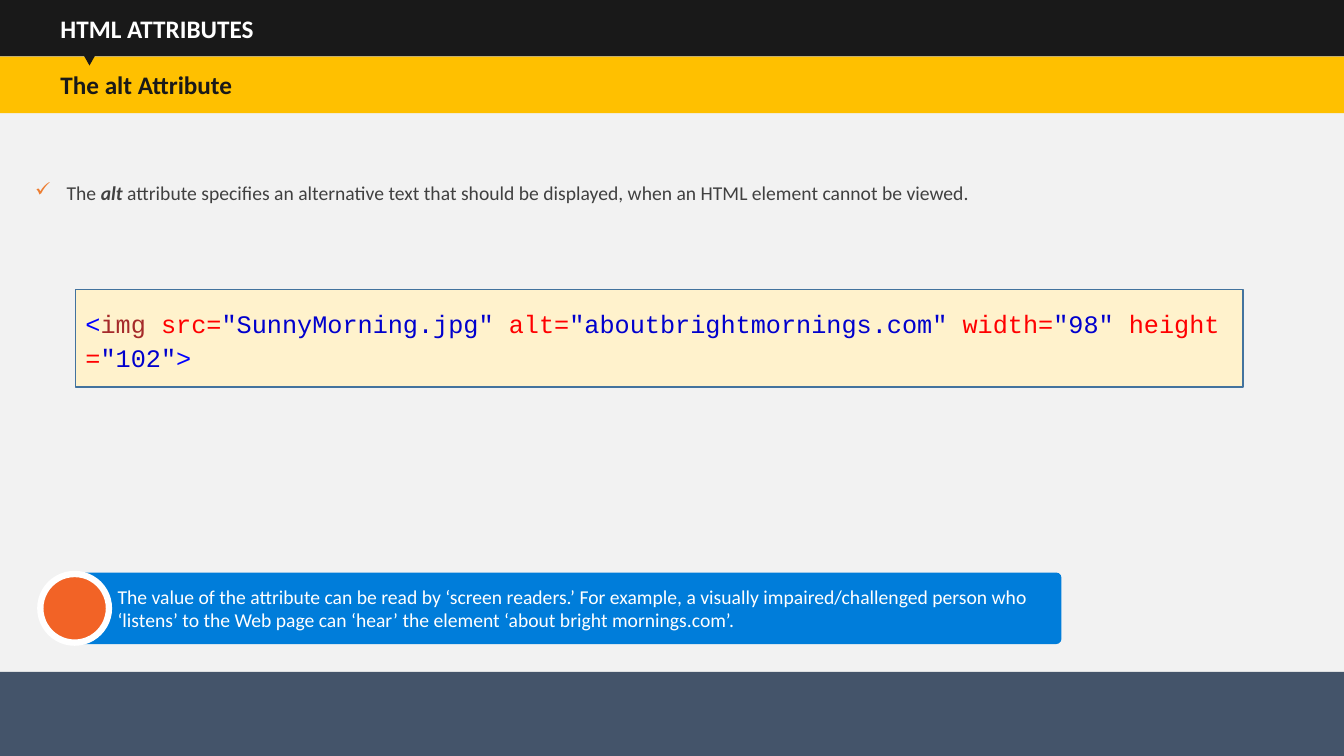
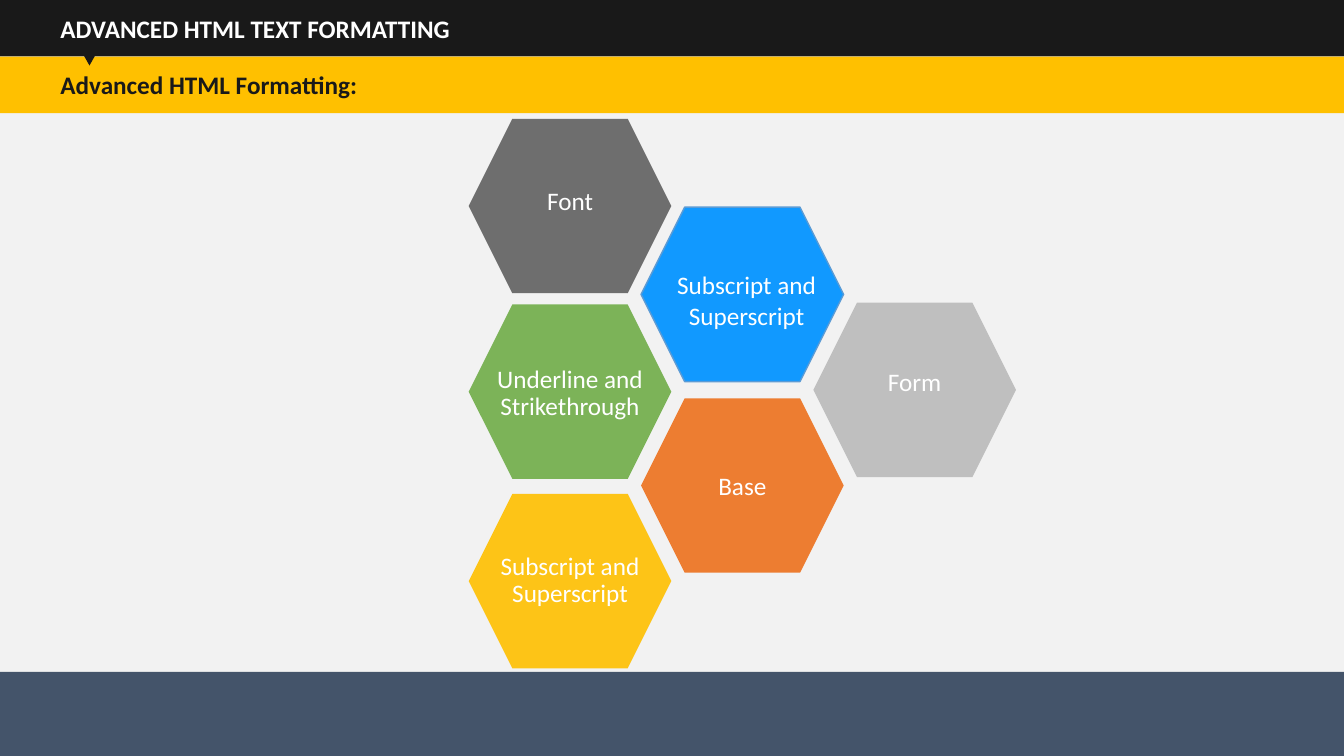
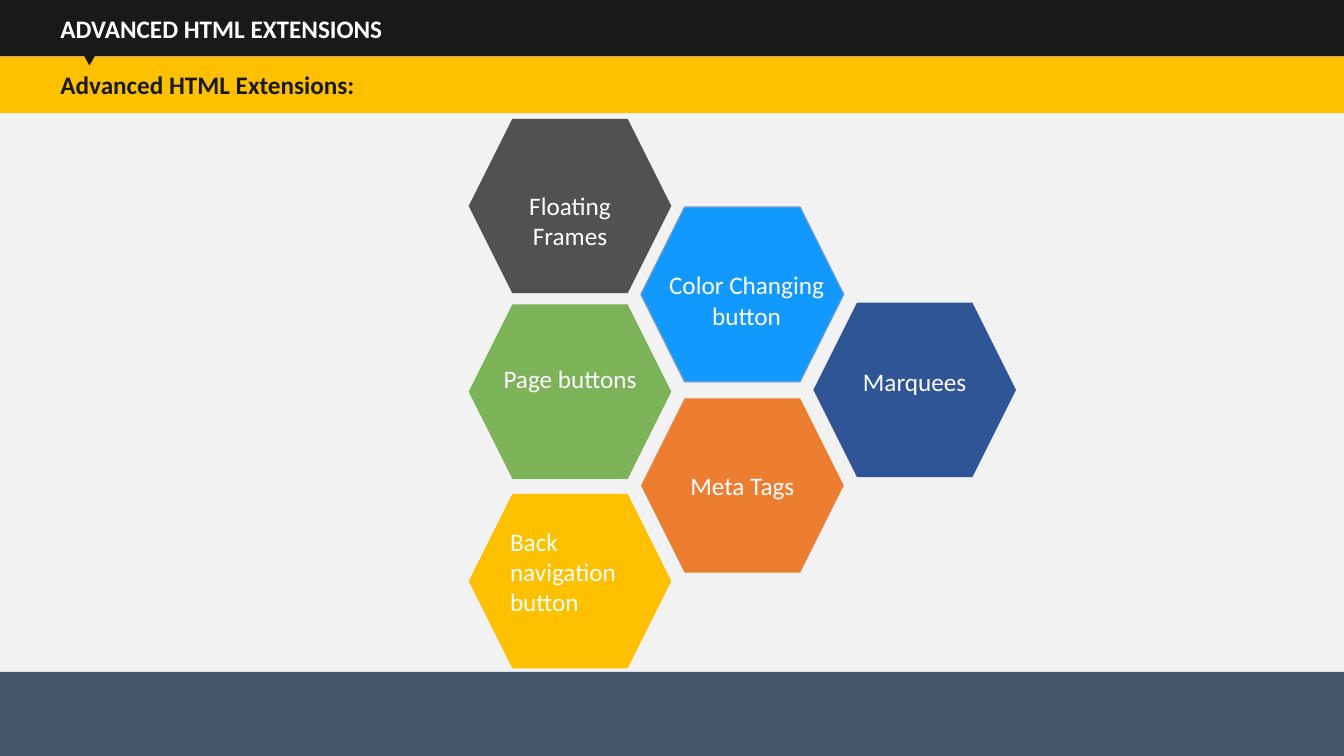
from lxml.etree import SubElement
from pptx import Presentation
from pptx.dml.color import RGBColor
from pptx.enum.shapes import MSO_SHAPE as Preset
from pptx.enum.text import MSO_ANCHOR as Anchor, PP_ALIGN as Align
from pptx.oxml.ns import qn
from pptx.util import Pt

WIDTH, HEIGHT = 960, 540
BAND_HEIGHT = 40.3
FOOTER_TOP = 480
BODY_FONT, CODE_FONT = "Calibri", "Courier New"
NO_BREAK_SPACE = chr(160)

COLORS = {
    "canvas": "F2F2F2", "footer": "44546A", "ink": "191919", "gold": "FFC000",
    "white": "FFFFFF", "body": "404040", "tick": "ED7D31", "cream": "FFF2CC",
    "code line": "43739E", "note": "007DDA", "dot": "F26326",
    "bracket": "0000FF", "tag": "A52A2A", "attribute": "FF0000", "value": "0000CD",
    "gray": "606060", "charcoal": "404040", "green": "70AD48", "sky": "1199FF",
    "sky line": "5B9BD5", "orange": "ED7D31", "silver": "BFBFBF", "navy": "2F5597",
}

HEX_WIDTH, HEX_HEIGHT = 144.7, 124.6
HEX_LEFT, HEX_STEP = 334.8, 123.1
LABEL_WIDTH = 132
# Column and top of each cell in the honeycomb
HONEYCOMB = {
    "first": (0, 84.9), "second": (0, 217.5), "third": (0, 352.8),
    "upper": (1, 148), "lower": (1, 284.5), "right": (2, 216.2),
}


def rgb(name):
    return RGBColor.from_string(COLORS[name])


def add_box(parent, preset, box, fill, line=None, line_width=1, opacity=100):
    shape = parent.shapes.add_shape(preset, *[Pt(length) for length in box])
    shape.shadow.inherit = False
    shape.fill.solid()
    shape.fill.fore_color.rgb = rgb(fill)
    if opacity < 100:
        color = shape.fill._xPr.find(qn("a:solidFill"))[0]
        SubElement(color, qn("a:alpha"), val=str(opacity * 1000))
    if line:
        shape.line.color.rgb = rgb(line)
        shape.line.width = Pt(line_width)
    else:
        shape.line.fill.background()
    return shape


def add_bullet(para, char, color, indent):
    properties = para._p.get_or_add_pPr()
    properties.set("marL", str(Pt(indent)))
    properties.set("indent", str(-Pt(indent)))
    bullet_color = SubElement(properties, qn("a:buClr"))
    SubElement(bullet_color, qn("a:srgbClr"), val=COLORS[color])
    SubElement(properties, qn("a:buChar"), char=char)


def write(shape, text, size=18, color="white", font=BODY_FONT, bold=False, italic=False,
          align=Align.LEFT, anchor=Anchor.MIDDLE, inset=7.2, spacing=None, after=None):
    """Write a string, or a list of (string, overrides) pairs, as one paragraph."""
    frame = shape.text_frame
    frame.word_wrap = True
    frame.vertical_anchor = anchor
    frame.margin_left = Pt(inset)
    para = frame.paragraphs[0]
    para.alignment = align
    if spacing:
        para.line_spacing = spacing
    if after:
        para.space_after = Pt(after)
    base = {"color": color, "bold": bold, "italic": italic}
    for content, overrides in [(text, {})] if isinstance(text, str) else text:
        look = {**base, **overrides}
        span = para.add_run()
        span.text = content
        span.font.name = font
        span.font.size = Pt(size)
        span.font.bold = look["bold"]
        span.font.italic = look["italic"]
        span.font.color.rgb = rgb(look["color"])
    return para


def add_text(parent, box, text, **look):
    shape = parent.shapes.add_textbox(*[Pt(length) for length in box])
    return write(shape, text, anchor=Anchor.TOP, **look)


def add_page(deck, title, subtitle):
    page = deck.slides.add_slide(deck.slide_layouts[6])
    add_box(page, Preset.RECTANGLE, (0, 0, WIDTH, FOOTER_TOP), "canvas")
    add_box(page, Preset.RECTANGLE, (0, FOOTER_TOP, WIDTH, HEIGHT - FOOTER_TOP), "footer")
    for top, fill, text, color in ((0, "ink", title, "white"),
                                   (40.5, "gold", subtitle, "ink")):
        band = add_box(page, Preset.RECTANGLE, (0, top, WIDTH, BAND_HEIGHT), fill)
        write(band, text, color=color, bold=True, inset=43.2)
    pointer = add_box(page, Preset.ISOSCELES_TRIANGLE, (57.4, 35.3, 13, 11.5), "ink")
    pointer.rotation = 180
    return page


def add_code(page, box, tokens):
    panel = add_box(page, Preset.RECTANGLE, box, "cream", "code line")
    runs = [(text.replace(" ", NO_BREAK_SPACE), {"color": kind}) for text, kind in tokens]
    write(panel, runs, font=CODE_FONT, spacing=1.15, after=10)


def add_note(page, box, text):
    """Place a rounded note with a ringed dot over its left end."""
    left, top, _, height = box
    note = add_box(page, Preset.ROUNDED_RECTANGLE, box, "note")
    note.adjustments[0] = 0.07
    write(note, text, size=14, inset=28.2)
    dot = 49
    add_box(page, Preset.OVAL, (left - 26, top + (height - dot) / 2, dot, dot),
            "dot", "white", 4.5)


def add_cell(page, place, fill, text, drop, line=None, opacity=100, shift=0,
             label_width=LABEL_WIDTH, spacing=None):
    """Add a hexagon and its label, which starts `drop` below the hexagon's top."""
    column, top = HONEYCOMB[place]
    left = HEX_LEFT + column * HEX_STEP
    group = page.shapes.add_group_shape()
    add_box(group, Preset.HEXAGON, (left, top, HEX_WIDTH, HEX_HEIGHT), fill, line,
            opacity=opacity)
    label_left = left + (HEX_WIDTH - label_width) / 2 + shift
    add_text(group, (label_left, top + drop, label_width, 48), text,
             align=Align.CENTER, spacing=spacing)


def add_common_cells(page, green, upper, lower, right, right_fill):
    """Add the four cells that both honeycombs format alike."""
    add_cell(page, "second", "green", green, 41, opacity=90, spacing=0.9)
    add_cell(page, "upper", "sky", upper, 41, line="sky line", shift=3)
    add_cell(page, "lower", "orange", lower, 48.2)
    add_cell(page, "right", right_fill, right, 44, spacing=0.9)


def build_alt_attribute(deck):
    page = add_page(deck, "HTML ATTRIBUTES", "The alt Attribute")
    para = add_text(page, (18, 126, 885, 41), [
        ("The ", {}),
        ("alt", {"bold": True, "italic": True}),
        (" attribute specifies an alternative text that should be displayed, "
         "when an HTML element cannot be viewed.", {}),
    ], size=14, color="body")
    add_bullet(para, "✓", "tick", 22.5)
    add_code(page, (54, 206.8, 834, 69.6), [
        ("<", "bracket"), ("img ", "tag"),
        ("src=", "attribute"), ('"SunnyMorning.jpg" ', "value"),
        ("alt=", "attribute"), ('"aboutbrightmornings.com" ', "value"),
        ("width=", "attribute"), ('"98" ', "value"),
        ("height=", "attribute"), ('"102"', "value"), (">", "bracket"),
    ])
    add_note(page, (54.8, 409, 703.4, 51),
             "The value of the attribute can be read by ‘screen readers.’ For example, "
             "a visually impaired/challenged person who ‘listens’ to the Web page can "
             "‘hear’ the element ‘about bright mornings.com’.")


def build_formatting(deck):
    page = add_page(deck, "ADVANCED HTML TEXT FORMATTING", "Advanced HTML Formatting:")
    add_cell(page, "first", "gray", "Font", 44, opacity=90)
    add_common_cells(page, "Underline and Strikethrough", "Subscript and Superscript",
                     "Base", "Form", "silver")
    add_cell(page, "third", "gold", "Subscript and Superscript", 39, opacity=90, spacing=0.9)


def build_extensions(deck):
    page = add_page(deck, "ADVANCED HTML EXTENSIONS", "Advanced HTML Extensions:")
    add_cell(page, "first", "charcoal", "Floating Frames", 47.5, opacity=90, label_width=82)
    add_common_cells(page, "Page buttons", "Color Changing button",
                     "Meta Tags", "Marquees", "navy")
    column, top = HONEYCOMB["third"]
    back = add_box(page, Preset.HEXAGON,
                   (HEX_LEFT + column * HEX_STEP, top, HEX_WIDTH, HEX_HEIGHT), "gold")
    write(back, "Back navigation button", anchor=Anchor.TOP)


def main():
    deck = Presentation()
    deck.slide_width, deck.slide_height = Pt(WIDTH), Pt(HEIGHT)
    build_alt_attribute(deck)
    build_formatting(deck)
    build_extensions(deck)
    deck.save("out.pptx")


if __name__ == "__main__":
    main()
